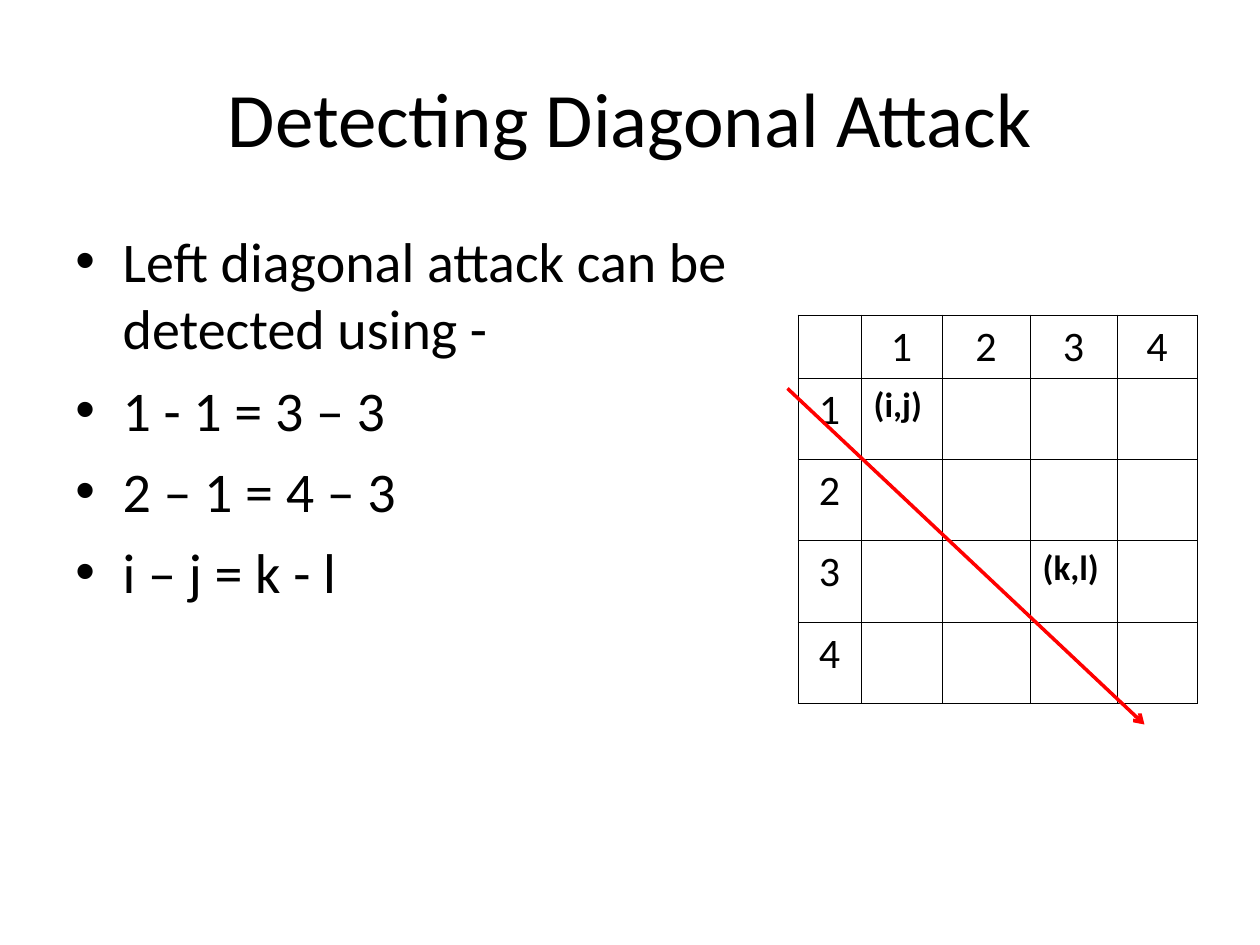
"""Build the slide on detecting diagonal attacks on a 4 by 4 board."""
import pptx
import pptx.dml.color
import pptx.enum.shapes
import pptx.enum.text
import pptx.oxml
import pptx.oxml.ns
import pptx.util
import lxml.etree

Pt = pptx.util.Pt
PP_ALIGN = pptx.enum.text.PP_ALIGN
ANCHOR = pptx.enum.text.MSO_ANCHOR
NS = pptx.oxml.ns.nsdecls("a")


def rgb(value):
    return pptx.dml.color.RGBColor.from_string(value)


def style(paragraph, size, align, bold=False):
    paragraph.alignment = align
    paragraph.font.name = "Calibri"
    paragraph.font.size = Pt(size)
    paragraph.font.bold = bold
    paragraph.font.color.rgb = rgb("000000")


deck = pptx.Presentation()
deck.slide_width, deck.slide_height = Pt(720), Pt(540)
slide = deck.slides.add_slide(deck.slide_layouts[5])

title = slide.shapes.title
title.left, title.top, title.width, title.height = Pt(36), Pt(21.6), Pt(648), Pt(90)
title.text_frame.text = "Detecting Diagonal Attack"
title.text_frame.vertical_anchor = ANCHOR.MIDDLE
style(title.text_frame.paragraphs[0], 44, PP_ALIGN.CENTER)

rules = slide.shapes.add_textbox(Pt(36), Pt(126), Pt(390), Pt(356.4)).text_frame
rules.word_wrap = True
rules.text = "\n".join([
    "Left diagonal attack can be detected using -",
    "1 - 1 = 3 – 3",
    "2 – 1 = 4 – 3",
    "i – j = k - l",
])
for rule in rules.paragraphs:
    style(rule, 32, PP_ALIGN.LEFT)
    rule.space_before = Pt(8)
    properties = rule._p.get_or_add_pPr()
    properties.set("marL", str(Pt(27)))
    properties.set("indent", str(Pt(-27)))
    properties.append(pptx.oxml.parse_xml(f'<a:buFont {NS} typeface="Arial"/>'))
    properties.append(pptx.oxml.parse_xml(f'<a:buChar {NS} char="•"/>'))
    default_font = properties.find(pptx.oxml.ns.qn("a:defRPr"))
    if default_font is not None:
        properties.append(default_font)

column_widths = [36, 46.3, 50.3, 49.7, 45.7]
row_heights = [36, 46.5, 46.5, 46.5, 46.5]
board = slide.shapes.add_table(
    5, 5, Pt(456), Pt(180), Pt(sum(column_widths)), Pt(sum(row_heights))
).table
board.first_row = board.horz_banding = False
for column, width in zip(board.columns, column_widths):
    column.width = Pt(width)
for row, height in zip(board.rows, row_heights):
    row.height = Pt(height)

queens = {(1, 1): "(i,j)", (3, 3): "(k,l)"}
for i in range(5):
    for j in range(5):
        square = board.cell(i, j)
        if (i, j) in queens:
            square.text = queens[i, j]
            style(square.text_frame.paragraphs[0], 20, PP_ALIGN.LEFT, True)
        elif (i == 0) != (j == 0):
            square.text = str(i + j)
            style(square.text_frame.paragraphs[0], 24, PP_ALIGN.CENTER)
        borders = square._tc.get_or_add_tcPr()
        for side in ("lnL", "lnR", "lnT", "lnB"):
            borders.append(pptx.oxml.parse_xml(
                f'<a:{side} {NS} w="{Pt(0.45)}"><a:solidFill>'
                f'<a:srgbClr val="000000"/></a:solidFill></a:{side}>'
            ))
        square.fill.background()

diagonal = slide.shapes.add_connector(
    pptx.enum.shapes.MSO_CONNECTOR.STRAIGHT, Pt(450), Pt(222), Pt(654), Pt(414)
)
diagonal.line.color.rgb = rgb("FF0000")
diagonal.line.width = Pt(2)
stroke = diagonal.line._get_or_add_ln()
lxml.etree.SubElement(stroke, pptx.oxml.ns.qn("a:tailEnd"), type="arrow")
lxml.etree.SubElement(diagonal._element.spPr, pptx.oxml.ns.qn("a:effectLst"))

deck.save("out.pptx")
